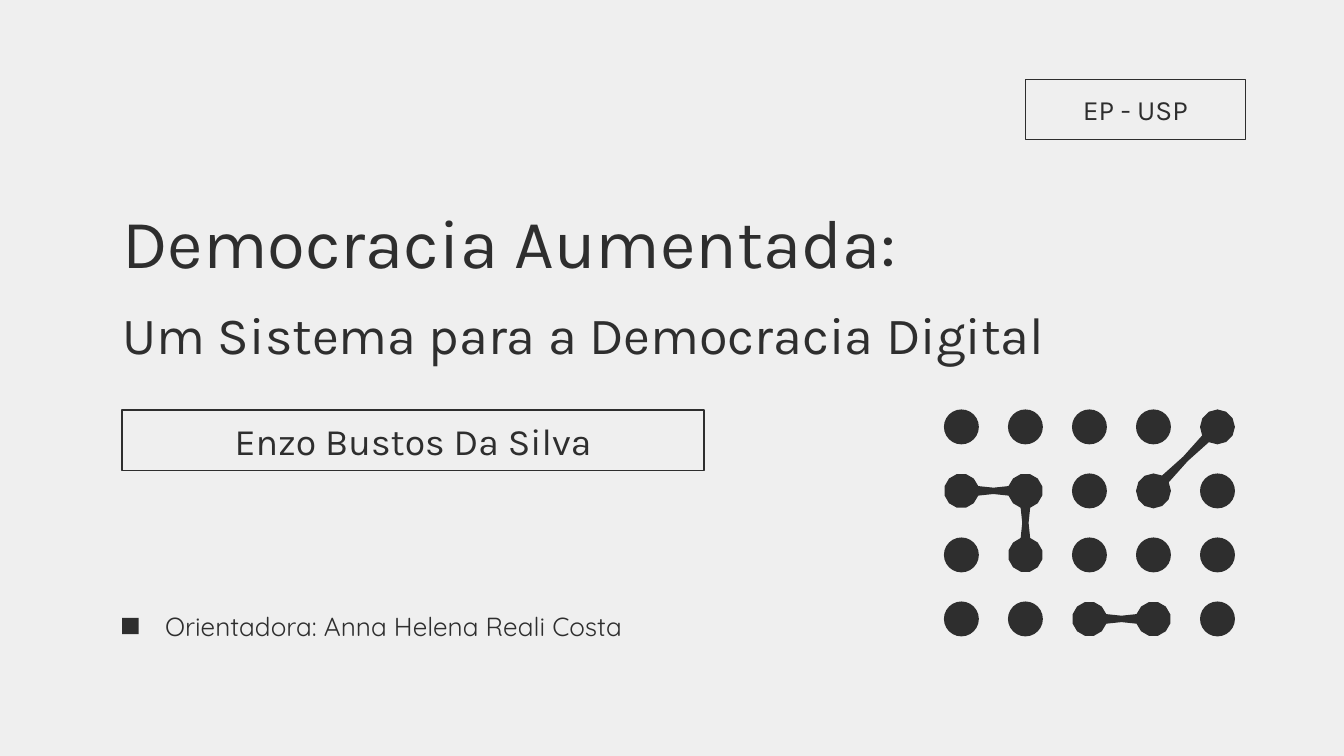
from math import atan2, cos, degrees, dist, radians, sin

from pptx import Presentation
from pptx.dml.color import RGBColor
from pptx.enum.shapes import MSO_SHAPE
from pptx.enum.text import MSO_ANCHOR, PP_ALIGN
from pptx.util import Cm, Pt

RECT, OVAL = MSO_SHAPE.RECTANGLE, MSO_SHAPE.OVAL
LEFT, CENTER = PP_ALIGN.LEFT, PP_ALIGN.CENTER
MIDDLE = MSO_ANCHOR.MIDDLE
INK = RGBColor(0x2E, 0x2E, 0x2E)
PAPER = RGBColor(0xEF, 0xEF, 0xEF)

# Text, box in cm (left, top, width, height), font, size in points
TITLE = ("Democracia Aumentada:", (2.06, 3.63, 16.08, 1.83), "Karla", 37)
PLAIN = [
    ("Um Sistema para a Democracia Digital", (2.07, 5.68, 20.88, 1.27), "Karla", 28),
    ("Orientadora: Anna Helena Reali Costa", (2.87, 11.27, 10.72, 1.14), "Quicksand", 14),
]
FRAMED = [
    ("Enzo Bustos Da Silva", (2.31, 7.75, 11, 1.14), "Karla", 20),
    ("EP - USP", (19.38, 1.5, 4.16, 1.14), "Karla", 15),
]
BULLET = (2.31, 11.68, 0.31, 0.31)

# Dot grid, in cm; links join dots given as (column, row)
COLS, ROWS = 5, 4
GRID_X, GRID_Y, PITCH = 18.17, 8.07, 1.21
RADIUS, NECK = 0.33, 0.06
ARC_STEP = 30
LINKS = [
    [(4, 0), (3, 1)],
    [(0, 1), (1, 1), (1, 2)],
    [(2, 3), (3, 3)],
]


def place(sp, box):
    sp.left, sp.top, sp.width, sp.height = map(Cm, box)


def write(sp, text, font, size, align):
    tf = sp.text_frame
    tf.word_wrap = True
    tf.vertical_anchor = MIDDLE
    tf.margin_left = tf.margin_right = tf.margin_top = tf.margin_bottom = Cm(0.25)
    p = tf.paragraphs[0]
    p.text = text
    p.alignment = align
    p.font.name, p.font.size, p.font.color.rgb = font, Pt(size), INK


def paint(sp):
    sp.shadow.inherit = False
    sp.fill.solid()
    sp.fill.fore_color.rgb = INK
    sp.line.fill.background()


def add_solid(s, kind, box):
    paint(s.shapes.add_shape(kind, *map(Cm, box)))


def center(dot):
    return GRID_X + dot[0] * PITCH, GRID_Y + dot[1] * PITCH


def heading(a, b):
    return round(degrees(atan2(b[1] - a[1], b[0] - a[0])))


def polar(origin, radius, angle):
    return (origin[0] + radius * cos(radians(angle)),
            origin[1] + radius * sin(radians(angle)))


def neck(a, b):
    """Three points along one side of the waist between the dots centred at a and b."""
    angle, length = heading(a, b), dist(a, b)
    edge = RADIUS * cos(radians(45))
    shoulder = edge + (edge - NECK) / 2
    side = [(shoulder, NECK * 1.5), (length / 2, NECK), (length - shoulder, NECK * 1.5)]
    return [polar(polar(a, along, angle), out, angle - 90) for along, out in side]


def link_outline(dots):
    """Walk round the chain of dots: an arc at each dot, then a neck to the next."""
    loop = [center(d) for d in dots + dots[-2:0:-1]]
    points = []
    for i, here in enumerate(loop):
        before, after = loop[i - 1], loop[(i + 1) % len(loop)]
        start = heading(here, before) + 45
        sweep = (heading(here, after) - 45 - start) % 360
        points += [polar(here, RADIUS, start + step)
                   for step in range(0, sweep + 1, ARC_STEP)]
        points += neck(here, after)
    return points


def add_link(s, dots):
    points = [(Cm(x), Cm(y)) for x, y in link_outline(dots)]
    builder = s.shapes.build_freeform(*points[0])
    builder.add_line_segments(points[1:], close=True)
    paint(builder.convert_to_shape())


def main():
    prs = Presentation()
    prs.slide_width, prs.slide_height = Cm(25.4), Cm(14.29)
    s = prs.slides.add_slide(prs.slide_layouts[5])
    s.background.fill.solid()
    s.background.fill.fore_color.rgb = PAPER

    linked = {dot for link in LINKS for dot in link}
    for row in range(ROWS):
        for col in range(COLS):
            if (col, row) not in linked:
                x, y = center((col, row))
                add_solid(s, OVAL, (x - RADIUS, y - RADIUS, 2 * RADIUS, 2 * RADIUS))
    for link in LINKS:
        add_link(s, link)

    text, box, font, size = TITLE
    place(s.shapes.title, box)
    write(s.shapes.title, text, font, size, LEFT)
    for text, box, font, size in PLAIN:
        write(s.shapes.add_textbox(*map(Cm, box)), text, font, size, LEFT)
    for text, box, font, size in FRAMED:
        sp = s.shapes.add_shape(RECT, *map(Cm, box))
        sp.shadow.inherit = False
        sp.fill.background()
        sp.line.color.rgb, sp.line.width = INK, Pt(0.75)
        write(sp, text, font, size, CENTER)
    add_solid(s, RECT, BULLET)
    prs.save("out.pptx")


if __name__ == "__main__":
    main()
